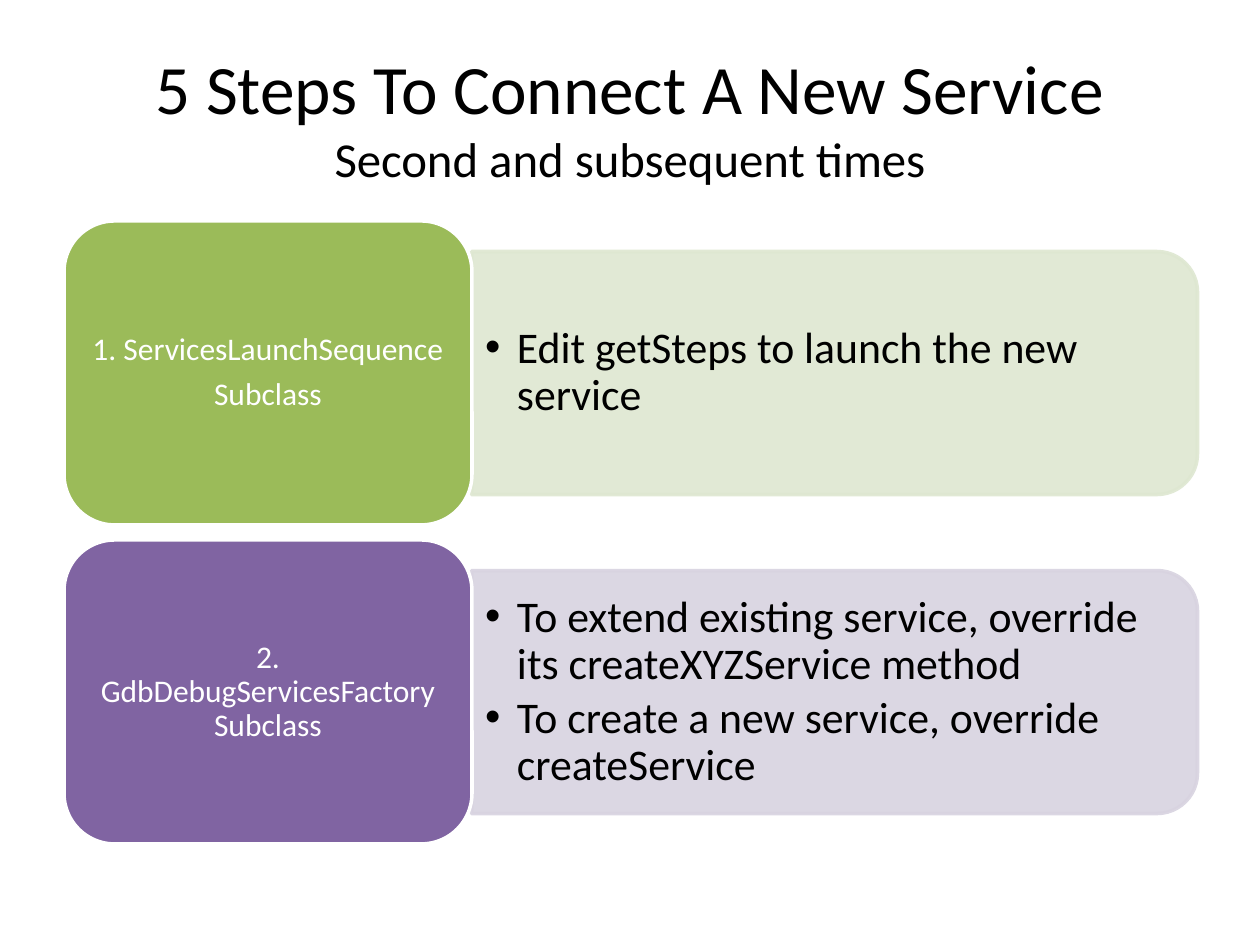
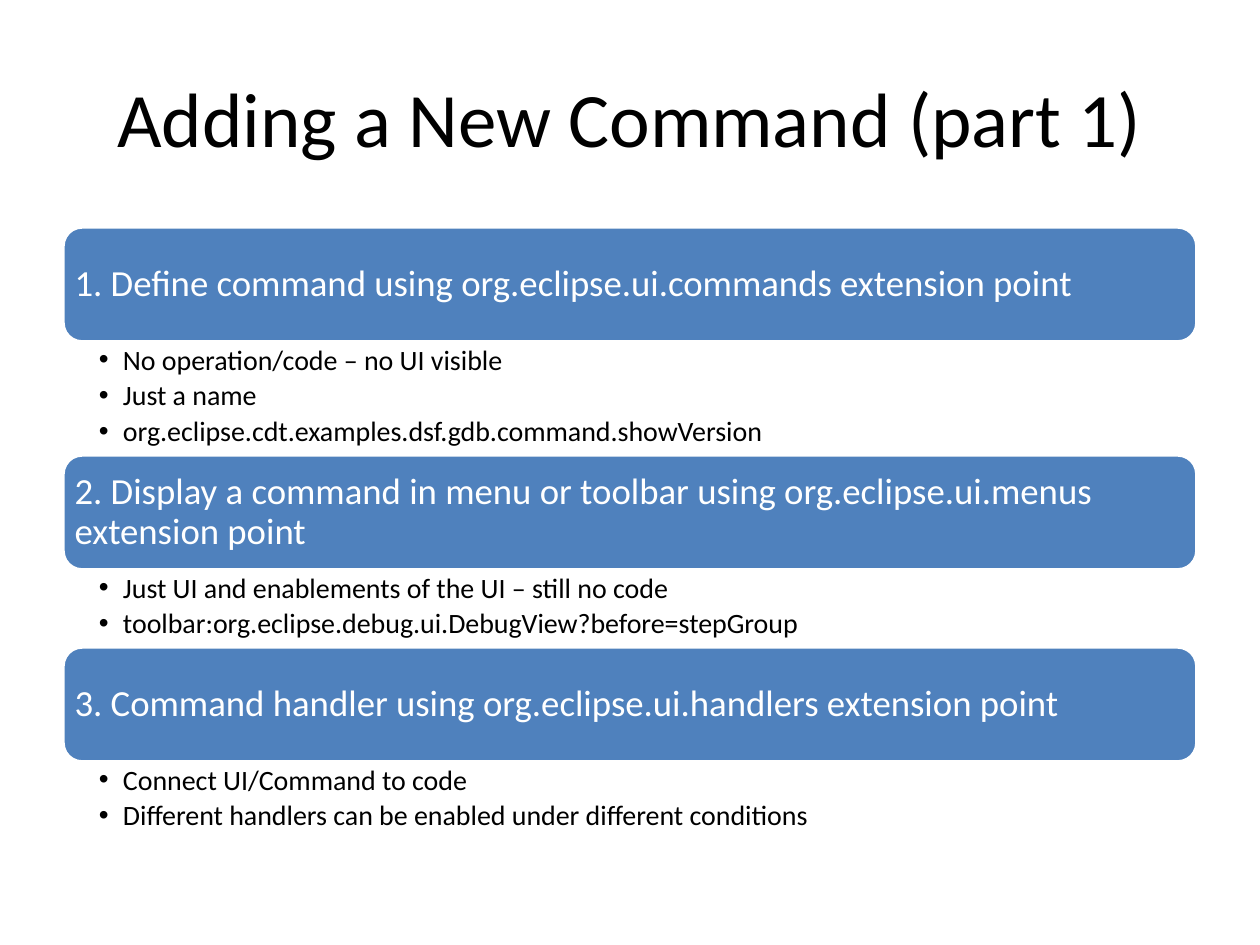
from dataclasses import dataclass

from lxml.etree import SubElement
from pptx import Presentation
from pptx.dml.color import RGBColor
from pptx.enum.shapes import MSO_SHAPE
from pptx.enum.text import MSO_ANCHOR, PP_ALIGN
from pptx.oxml.ns import qn
from pptx.util import Emu, Pt


@dataclass(frozen=True)
class Theme:
    font: str = "Calibri"
    black: str = "000000"
    white: str = "FFFFFF"
    blue: str = "4F81BD"
    green: str = "9BBB59"
    pale_green: str = "DEE7D1"
    purple: str = "8064A2"
    pale_purple: str = "D8D3E0"
    title_size: float = 44
    long_title_size: float = 39.6
    subtitle_size: float = 27.9
    panel_size: float = 25
    bar_size: float = 21
    label_size: float = 18
    detail_size: float = 16
    line_width: float = 2


theme = Theme()
EMU_PER_PX = 914400 / 126


def px(*lengths):
    return [Emu(round(length * EMU_PER_PX)) for length in lengths]


def write(shape, texts, size, color, margins, align=PP_ALIGN.LEFT,
          anchor=MSO_ANCHOR.MIDDLE, spacing=0.9, after=0, indent=0):
    left, top, right, bottom = px(*margins)
    frame_format = {"word_wrap": True, "vertical_anchor": anchor, "margin_left": left,
                    "margin_top": top, "margin_right": right, "margin_bottom": bottom}
    paragraph_format = {"alignment": align, "line_spacing": spacing,
                        "space_after": Pt(size * after)}
    font_format = {"name": theme.font, "size": Pt(size)}
    frame = shape.text_frame
    for name, value in frame_format.items():
        setattr(frame, name, value)
    for index, text in enumerate(texts):
        paragraph = frame.add_paragraph() if index else frame.paragraphs[0]
        paragraph.text = text
        for name, value in paragraph_format.items():
            setattr(paragraph, name, value)
        for run in paragraph.runs:
            for name, value in font_format.items():
                setattr(run.font, name, value)
            run.font.color.rgb = RGBColor.from_string(color)
        if indent:
            properties = paragraph._p.get_or_add_pPr()
            hanging = px(indent)[0]
            properties.set("marL", str(hanging))
            properties.set("indent", str(-hanging))
            SubElement(properties, qn("a:buFont")).set("typeface", "Arial")
            SubElement(properties, qn("a:buChar")).set("char", "•")


def add_box(slide, kind, bounds, fill, line, alpha=100):
    shape = slide.shapes.add_shape(kind, *px(*bounds))
    shape.shadow.inherit = False
    shape.fill.solid()
    shape.line.width = Pt(theme.line_width)
    for target, color in ((shape.fill.fore_color, fill), (shape.line.color, line)):
        target.rgb = RGBColor.from_string(color)
    if alpha < 100:
        for color_element in shape._element.spPr.iter(qn("a:srgbClr")):
            SubElement(color_element, qn("a:alpha")).set("val", str(alpha * 1000))
    return shape


presentation = Presentation()
presentation.slide_width, presentation.slide_height = px(1260, 945)

titles = [
    ("5 Steps To Connect A New Service\vSecond and subsequent times", theme.long_title_size),
    ("Adding a New Command (part 1)", theme.title_size),
]
slides = []
for title_text, title_size in titles:
    slide = presentation.slides.add_slide(presentation.slide_layouts[6])
    title = slide.shapes.add_textbox(*px(63, 38, 1134, 157))
    write(title, [title_text], title_size, theme.black, (13, 6, 13, 6),
          align=PP_ALIGN.CENTER, spacing=1.0)
    for subtitle in title.text_frame.paragraphs[0].runs[1:]:
        subtitle.font.size = Pt(theme.subtitle_size)
    slides.append(slide)
steps_slide, command_slide = slides

steps = [
    (theme.green, theme.pale_green,
     ["1. ServicesLaunchSequence", "Subclass"],
     ["Edit getSteps to launch the new service"]),
    (theme.purple, theme.pale_purple,
     ["2. GdbDebugServicesFactory\vSubclass"],
     ["To extend existing service, override its createXYZService method",
      "To create a new service, override createService"]),
]
label_left, label_width, label_height = 64, 408, 304
panel_left, panel_width, panel_height = 472, 726, 243
step_top, step_pitch = 221, 319
for index, (color, pale_color, label_lines, actions) in enumerate(steps):
    top = step_top + index * step_pitch
    middle = top + label_height // 2
    panel = add_box(steps_slide, MSO_SHAPE.ROUND_2_SAME_RECTANGLE,
                    (panel_left + (panel_width - panel_height) // 2,
                     middle - panel_width // 2, panel_height, panel_width),
                    pale_color, pale_color, alpha=90)
    panel.rotation = 90
    action_box = steps_slide.shapes.add_textbox(*px(panel_left, middle - 110, 714, 220))
    write(action_box, actions, theme.panel_size, theme.black, (13, 6, 13, 6),
          after=0.15, indent=32)
    label = add_box(steps_slide, MSO_SHAPE.ROUNDED_RECTANGLE,
                    (label_left, top, label_width, label_height), color, theme.white)
    write(label, label_lines, theme.label_size, theme.white, (9, 5, 9, 5),
          align=PP_ALIGN.CENTER, after=0.35)

commands = [
    ("1. Define command using org.eclipse.ui.commands extension point",
     ["No operation/code – no UI visible", "Just a name",
      "org.eclipse.cdt.examples.dsf.gdb.command.showVersion"]),
    ("2. Display a command in menu or toolbar using org.eclipse.ui.menus extension point",
     ["Just UI and enablements of the UI – still no code",
      "toolbar:org.eclipse.debug.ui.DebugView?before=stepGroup"]),
    ("3. Command handler using org.eclipse.ui.handlers extension point",
     ["Connect UI/Command to code",
      "Different handlers can be enabled under different conditions"]),
]
bar_left, bar_width, bar_height = 63, 1134, 115
detail_pitch, detail_padding = 36, 5
top = 227
for heading, details in commands:
    bar = add_box(command_slide, MSO_SHAPE.ROUNDED_RECTANGLE,
                  (bar_left, top, bar_width, bar_height), theme.blue, theme.white)
    write(bar, [heading], theme.bar_size, theme.white, (6, 6, 6, 6), after=0.35)
    top += bar_height
    details_height = len(details) * detail_pitch + detail_padding
    details_box = command_slide.shapes.add_textbox(
        *px(bar_left, top, bar_width, details_height))
    write(details_box, details, theme.detail_size, theme.black, (36, 4, 20, 4),
          anchor=MSO_ANCHOR.TOP, after=0.2, indent=24)
    top += details_height

presentation.save("out.pptx")
